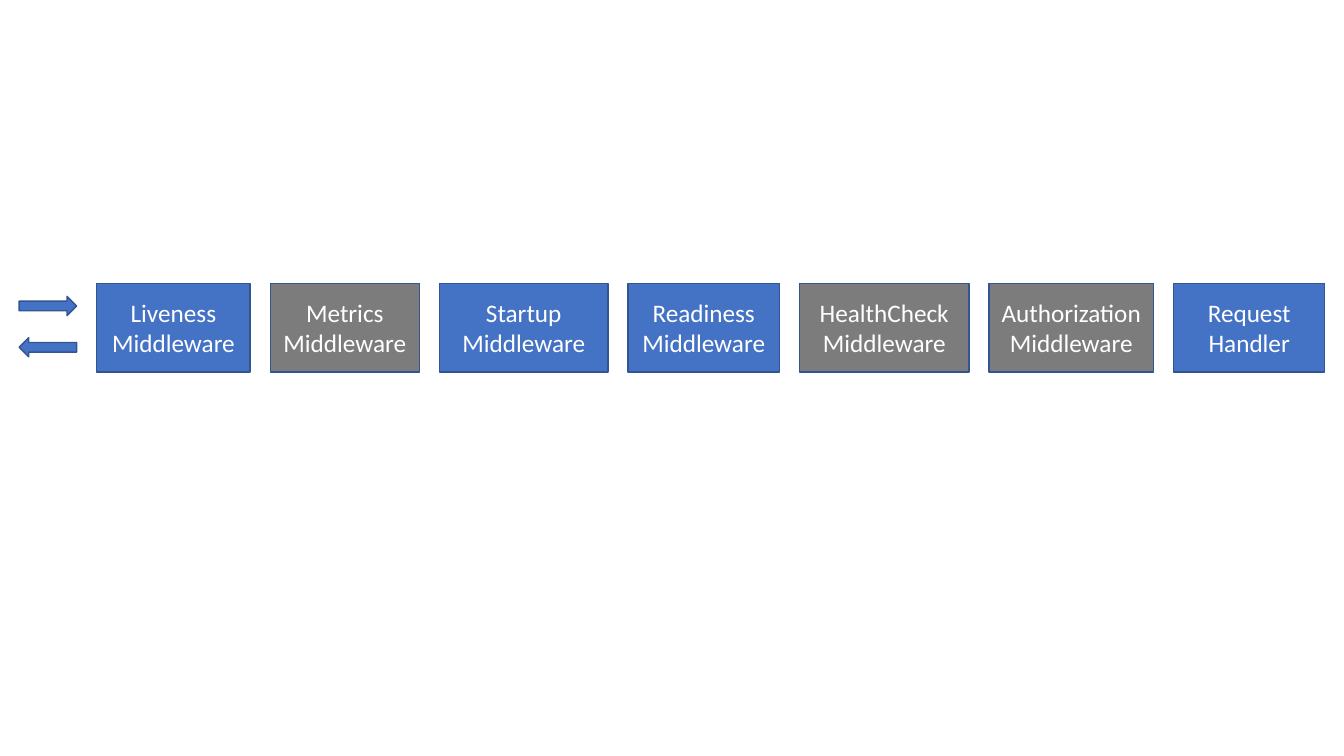
from dataclasses import dataclass

from pptx import Presentation
from pptx.dml.color import RGBColor
from pptx.enum.shapes import MSO_SHAPE
from pptx.enum.text import MSO_ANCHOR, PP_ALIGN
from pptx.util import Inches, Pt

RECT = MSO_SHAPE.RECTANGLE
ARROW = MSO_SHAPE.RIGHT_ARROW
CENTER = PP_ALIGN.CENTER
MIDDLE = MSO_ANCHOR.MIDDLE


@dataclass(frozen=True)
class Theme:
    blue: RGBColor = RGBColor(0x44, 0x72, 0xC4)
    gray: RGBColor = RGBColor(0x7C, 0x7C, 0x7C)
    border: RGBColor = RGBColor(0x32, 0x54, 0x91)
    text: RGBColor = RGBColor(0xFF, 0xFF, 0xFF)
    font: str = "Calibri"
    size: Pt = Pt(18)
    line: Pt = Pt(1)


THEME = Theme()
STAGE_LEFT, STAGE_TOP, STAGE_HEIGHT, STAGE_GAP = 0.96, 2.81, 0.88, 0.2
STAGES = [
    ("Liveness\nMiddleware", 1.52, THEME.blue),
    ("Metrics\nMiddleware", 1.48, THEME.gray),
    ("Startup\vMiddleware", 1.67, THEME.blue),
    ("Readiness\nMiddleware", 1.5, THEME.blue),
    ("HealthCheck\vMiddleware", 1.68, THEME.gray),
    ("Authorization\nMiddleware", 1.63, THEME.gray),
    ("Request\nHandler", 1.5, THEME.blue),
]


def add_filled_shape(slide, kind, left, top, width, height, color):
    sp = slide.shapes.add_shape(
        kind, Inches(left), Inches(top), Inches(width), Inches(height))
    sp.shadow.inherit = False
    sp.fill.solid()
    sp.fill.fore_color.rgb = color
    sp.line.color.rgb = THEME.border
    sp.line.width = THEME.line
    return sp


def add_stage(slide, label, left, width, color):
    sp = add_filled_shape(
        slide, RECT, left, STAGE_TOP, width, STAGE_HEIGHT, color)
    tf = sp.text_frame
    tf.text = label
    tf.word_wrap = True
    tf.vertical_anchor = MIDDLE
    for p in tf.paragraphs:
        p.alignment = CENTER
        for r in p.runs:
            r.font.name = THEME.font
            r.font.size = THEME.size
            r.font.color.rgb = THEME.text


def add_arrow(slide, top, rotation):
    sp = add_filled_shape(slide, ARROW, 0.19, top, 0.57, 0.19, THEME.blue)
    sp.rotation = rotation


def main():
    prs = Presentation()
    prs.slide_width = Inches(13.33)
    prs.slide_height = Inches(7.5)
    slide = prs.slides.add_slide(prs.slide_layouts[6])

    left = STAGE_LEFT
    for label, width, color in STAGES:
        add_stage(slide, label, left, width, color)
        left += width + STAGE_GAP

    add_arrow(slide, 2.94, 0)
    add_arrow(slide, 3.35, 180)
    prs.save("out.pptx")


if __name__ == "__main__":
    main()
